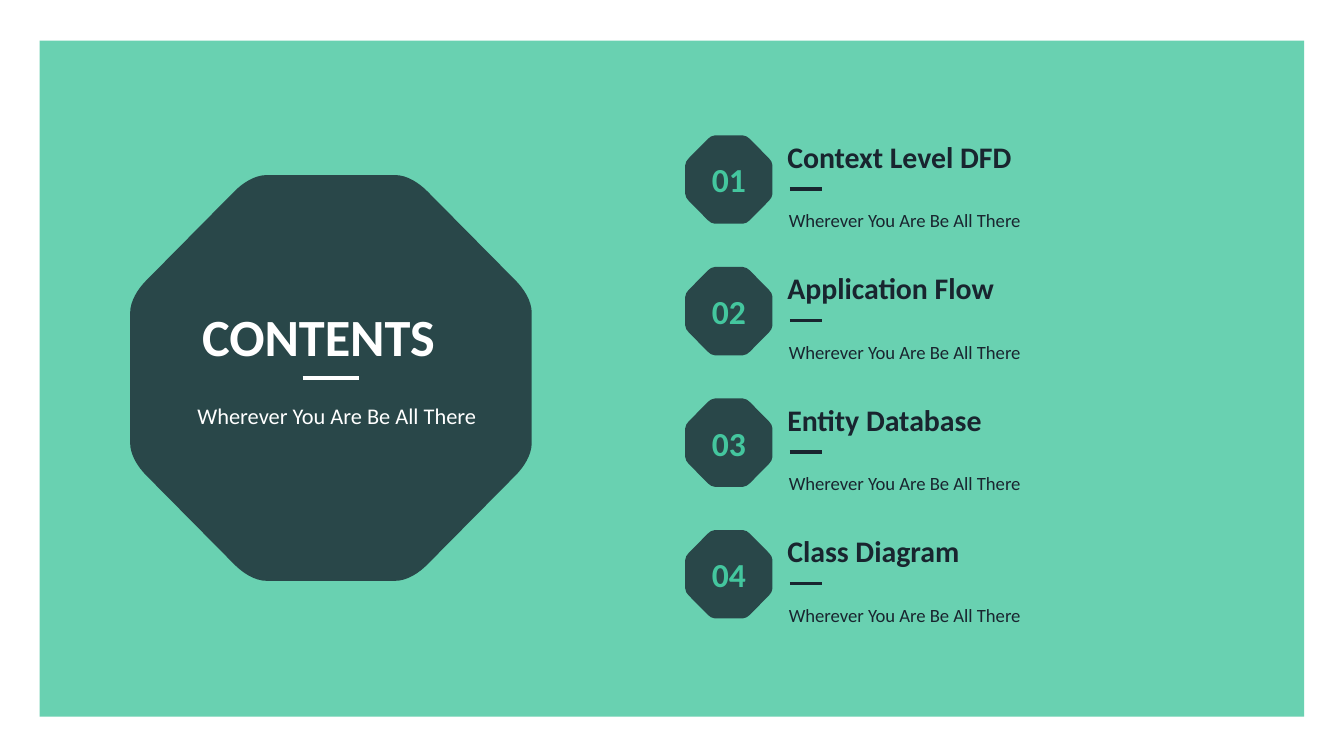
from pptx import Presentation
from pptx.dml.color import RGBColor
from pptx.enum.shapes import MSO_CONNECTOR as CONNECTOR, MSO_SHAPE as SHAPE
from pptx.enum.text import MSO_ANCHOR as ANCHOR, MSO_AUTO_SIZE as AUTO, PP_ALIGN as ALIGN
from pptx.oxml.ns import qn
from pptx.util import Cm, Pt
from lxml.etree import SubElement

MINT, NAVY, WHITE = "44C69E", "19252F", "FFFFFF"
TAGLINE = "Wherever You Are Be All There"
TOPICS = [("Context Level DFD", 4.75), ("Application Flow", 4.42),
          ("Entity Database", 4.19), ("Class Diagram", 3.76)]
FIRST_TOP, LAST_TOP = 2.56, 10.02
PITCH = (LAST_TOP - FIRST_TOP) / (len(TOPICS) - 1)
CORNER = [(0, 0.34), (0, 0.31), (0.02, 0.28), (0.04, 0.26)]


def paint(color_format, hex_color):
    """Set a colour format to a hex colour."""
    color_format.rgb = RGBColor.from_string(hex_color)


def fill_tint(panel, hex_color):
    """Fill a panel at 80 % opacity, without outline or shadow."""
    panel.shadow.inherit = False
    panel.line.fill.background()
    panel.fill.solid()
    paint(panel.fill.fore_color, hex_color)
    color_node = panel._element.spPr.find(qn("a:solidFill"))[0]
    SubElement(color_node, qn("a:alpha"), val="80000")


def write(frame, wording, color, size, bold=False, align=ALIGN.LEFT, spacing=None, **frame_format):
    """Write one paragraph into a text frame."""
    for name, value in frame_format.items():
        setattr(frame, name, value)
    paragraph = frame.paragraphs[0]
    for name, value in {"alignment": align, "line_spacing": spacing}.items():
        setattr(paragraph, name, value)
    run = paragraph.add_run()
    run.text = wording
    for name, value in {"name": "Calibri", "size": Pt(size), "bold": bold}.items():
        setattr(run.font, name, value)
    paint(run.font.color, color)


def add_label(slide, box, wording, color, size, wrap=True, **text_format):
    """Add a text box that grows with its wording."""
    label = slide.shapes.add_textbox(*map(Cm, box))
    write(label.text_frame, wording, color, size, word_wrap=wrap,
          auto_size=AUTO.SHAPE_TO_FIT_TEXT, **text_format)


def add_rule(slide, left, top, length, color):
    """Add a short horizontal rule."""
    rule = slide.shapes.add_connector(
        CONNECTOR.STRAIGHT, Cm(left), Cm(top), Cm(left + length), Cm(top))
    rule.line.width = Pt(2)
    paint(rule.line.color, color)
    SubElement(rule._element.spPr, qn("a:effectLst"))


def octagon_curves():
    """Return the eight corner curves of an octagon in a unit square."""
    pair = [CORNER, [(y, x) for x, y in reversed(CORNER)]]
    curves = []
    for _ in range(4):
        curves += pair
        pair = [[(1 - y, x) for x, y in curve] for curve in pair]
    return curves


def add_octagon(slide, box):
    """Add a rounded octagon that fills the box."""
    left, top, width, height = box
    curves = octagon_curves()
    vertices = [(Cm(left + x * width), Cm(top + y * height))
                for curve in curves for x, y in (curve[0], curve[-1])]
    builder = slide.shapes.build_freeform(*vertices[0])
    builder.add_line_segments(vertices[1:], close=True)
    octagon = builder.convert_to_shape()
    segments = list(octagon._element.iter(qn("a:lnTo")))
    for segment, curve in zip(segments[::2], curves):
        segment.tag = qn("a:cubicBezTo")
        for position, (x, y) in enumerate(curve[1:3]):
            control = SubElement(segment, qn("a:pt"),
                                 x=str(Cm(x * width)), y=str(Cm(y * height)))
            segment.insert(position, control)
    fill_tint(octagon, NAVY)
    return octagon


def add_backdrop(slide, box):
    """Add the mint backdrop."""
    fill_tint(slide.shapes.add_shape(SHAPE.RECTANGLE, *map(Cm, box)), MINT)


def add_heading(slide, box):
    """Add the large octagon with the slide heading."""
    left, top = box[:2]
    add_octagon(slide, box)
    add_label(slide, (left + 0.46, top + 2.32, 6.2, 1.45), "CONTENTS", WHITE, 28,
              bold=True, align=ALIGN.CENTER)
    add_label(slide, (left + 0.47, top + 3.91, 6.88, 1.02), TAGLINE, WHITE, 12,
              align=ALIGN.CENTER, spacing=1.5)
    add_rule(slide, left + 3.26, top + 3.84, 1.06, WHITE)


def add_topic(slide, box, number, topic, topic_width):
    """Add a numbered badge with its topic, rule and tagline."""
    left, top = box[:2]
    add_label(slide, (left + 1.71, top + 1.05, 8.31, 0.89), TAGLINE, NAVY, 10, spacing=1.5)
    add_label(slide, (left + 1.68, top - 0.07, topic_width, 0.94), topic, NAVY, 16,
              wrap=False, bold=True)
    add_rule(slide, left + 1.98, top + 1.01, 0.6, NAVY)
    badge = add_octagon(slide, box)
    margins = dict.fromkeys(("margin_left", "margin_right", "margin_top", "margin_bottom"), 0)
    write(badge.text_frame, f"{number:02}", MINT, 18, bold=True, align=ALIGN.CENTER,
          vertical_anchor=ANCHOR.MIDDLE, **margins)


def main():
    """Build the contents slide and save it."""
    deck = Presentation()
    deck.slide_width, deck.slide_height = Cm(25.4), Cm(14.29)
    slide = deck.slides.add_slide(deck.slide_layouts[6])
    add_backdrop(slide, (0.75, 0.77, 23.9, 12.78))
    add_heading(slide, (2.46, 3.31, 7.59, 7.67))
    for index, (topic, topic_width) in enumerate(TOPICS):
        add_topic(slide, (12.95, FIRST_TOP + index * PITCH, 1.65, 1.67),
                  index + 1, topic, topic_width)
    deck.save("out.pptx")


if __name__ == "__main__":
    main()
